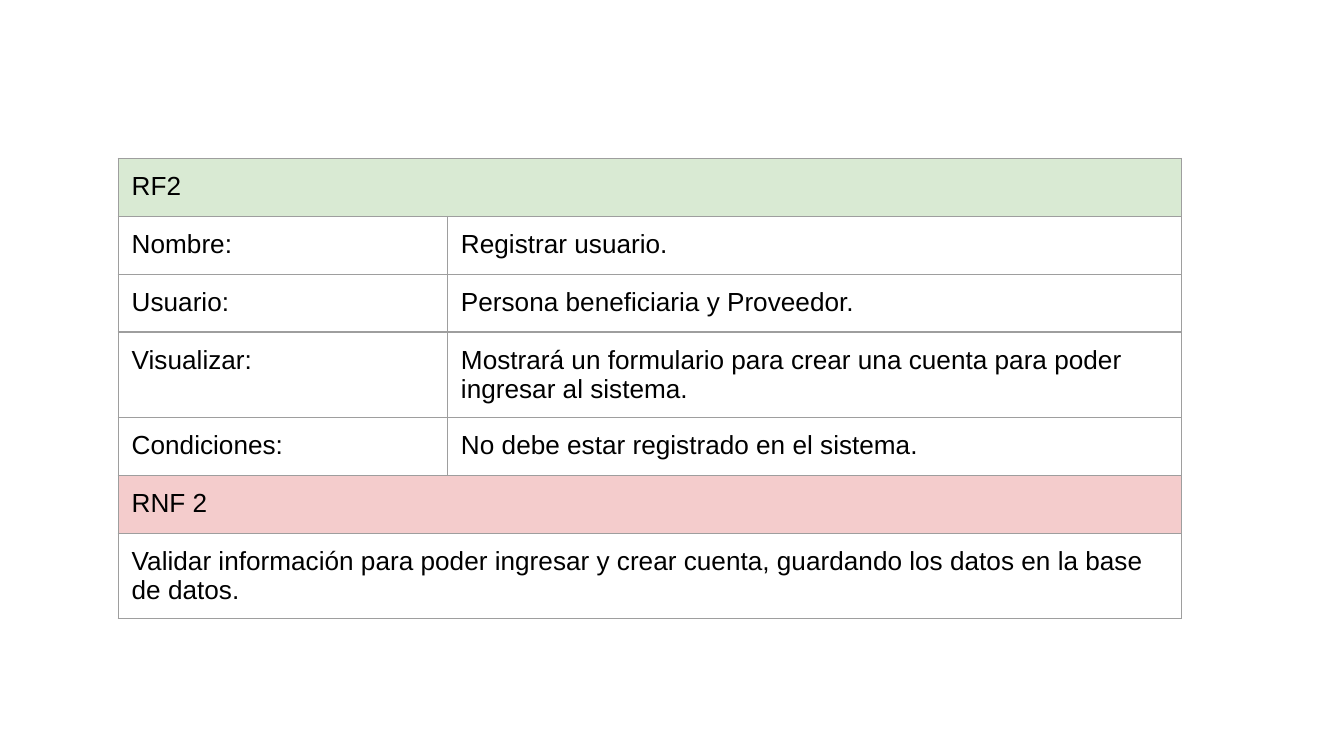
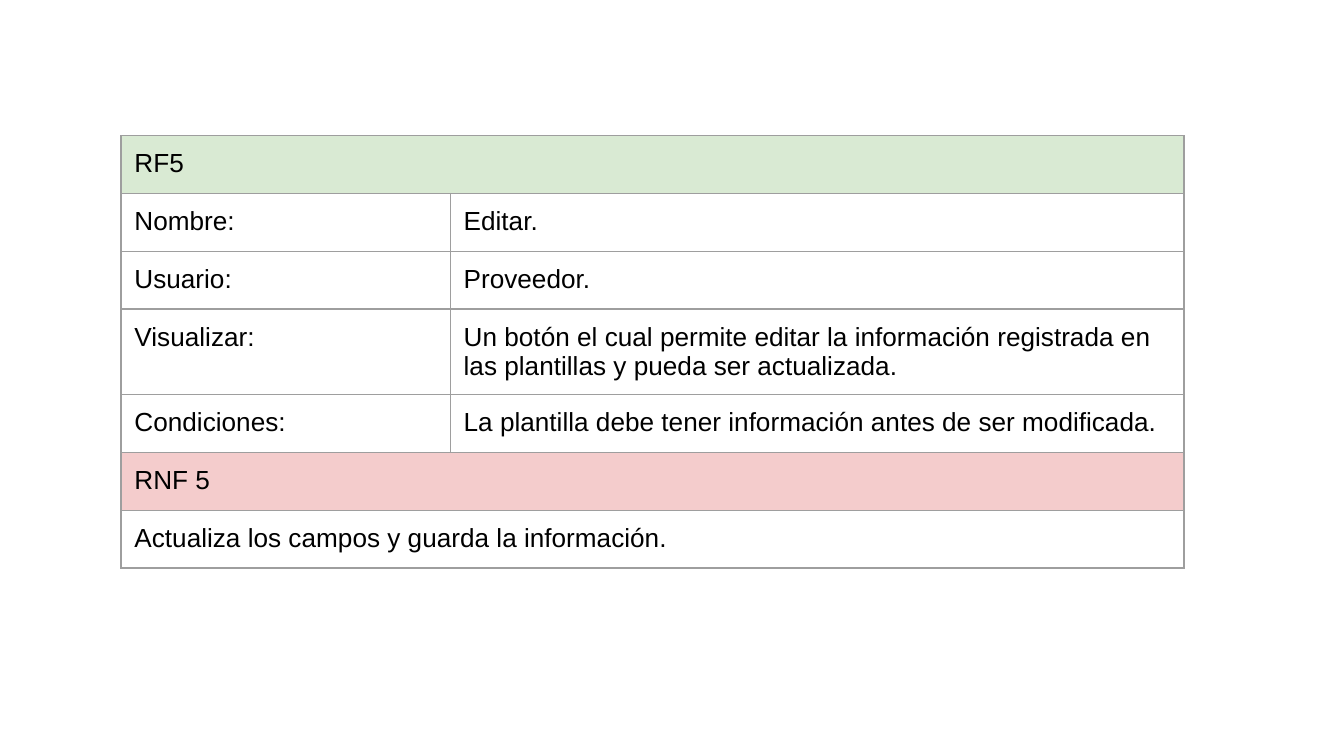
from lxml.etree import SubElement
from pptx import Presentation
from pptx.dml.color import RGBColor
from pptx.enum.text import MSO_VERTICAL_ANCHOR as Anchor
from pptx.oxml.ns import qn
from pptx.util import Inches, Pt

# Shared style
COLORS = {
    "text": "000000",
    "border": "9E9E9E",
    "functional": "D9EAD3",
    "nonfunctional": "F4CCCC",
}
FONT = "Arial"
COLUMN_WIDTHS = (2.45, 5.46)
ROW_HEIGHT = 0.43
CELL_MARGIN = 0.1
LABELS = ("Nombre:", "Usuario:", "Visualizar:", "Condiciones:")


def write_text(frame, text, *, size=14, color="text", font=FONT):
    """Put one formatted paragraph into a text frame."""
    frame.word_wrap = True
    para = frame.paragraphs[0]
    span = para.add_run()
    span.text = text
    span.font.name = font
    span.font.size = Pt(size)
    span.font.color.rgb = RGBColor.from_string(COLORS[color])


def set_borders(cell, color="border", width=0.75):
    """Draw all four sides of a cell; lines must precede its fill."""
    properties = cell._tc.get_or_add_tcPr()
    for side in ("a:lnL", "a:lnR", "a:lnT", "a:lnB"):
        line = SubElement(properties, qn(side), w=str(Pt(width)))
        fill = SubElement(line, qn("a:solidFill"))
        SubElement(fill, qn("a:srgbClr"), val=COLORS[color])


class RequirementDeck:
    def __init__(self):
        self.deck = Presentation()
        self.deck.slide_width = Inches(10)
        self.deck.slide_height = Inches(10) * 9 // 16
        self.page = None

    def add_page(self):
        self.page = self.deck.slides.add_slide(self.deck.slide_layouts[6])

    def style_cell(self, cell, fill=None):
        cell.margin_left = cell.margin_right = Inches(CELL_MARGIN)
        cell.margin_top = cell.margin_bottom = Inches(CELL_MARGIN)
        cell.vertical_anchor = Anchor.TOP
        set_borders(cell)
        if fill:
            cell.fill.solid()
            cell.fill.fore_color.rgb = RGBColor.from_string(COLORS[fill])
        else:
            cell.fill.background()

    def add_table(self, rows, left, top, height):
        """Rows are (texts, fill); a single text spans every column."""
        box = self.page.shapes.add_table(
            len(rows), len(COLUMN_WIDTHS), Inches(left), Inches(top),
            Inches(sum(COLUMN_WIDTHS)), Inches(height))
        table = box.table
        table.first_row = table.horz_banding = False
        for column, width in zip(table.columns, COLUMN_WIDTHS):
            column.width = Inches(width)
        for index, (texts, fill) in enumerate(rows):
            table.rows[index].height = Inches(ROW_HEIGHT)
            cells = list(table.rows[index].cells)
            for cell in cells:
                self.style_cell(cell, fill)
            if len(texts) == 1:
                cells[0].merge(cells[-1])
            for cell, text in zip(cells, texts):
                write_text(cell.text_frame, text)
        box.height = Inches(height)

    def add_requirement(self, number, details, quality, **place):
        """Add a page with one functional and one non-functional requirement."""
        self.add_page()
        rows = [((f"RF{number}",), "functional")]
        rows += [(pair, None) for pair in zip(LABELS, details)]
        rows += [((f"RNF {number}",), "nonfunctional"), ((quality,), None)]
        self.add_table(rows, **place)


def main():
    requirements = RequirementDeck()

    # User registration
    requirements.add_requirement(
        2,
        ("Registrar usuario.",
         "Persona beneficiaria y Proveedor.",
         "Mostrará un formulario para crear una cuenta para poder ingresar al sistema.",
         "No debe estar registrado en el sistema."),
        "Validar información para poder ingresar y crear cuenta, "
        "guardando los datos en la base de datos.",
        left=0.88, top=1.18, height=3.5)

    # Editing
    requirements.add_requirement(
        5,
        ("Editar.",
         "Proveedor.",
         "Un botón el cual permite editar la información registrada en las "
         "plantillas y pueda ser actualizada.",
         "La plantilla debe tener información antes de ser modificada."),
        "Actualiza los campos y guarda la información.",
        left=0.9, top=1.01, height=3.27)

    requirements.deck.save("out.pptx")


if __name__ == "__main__":
    main()
